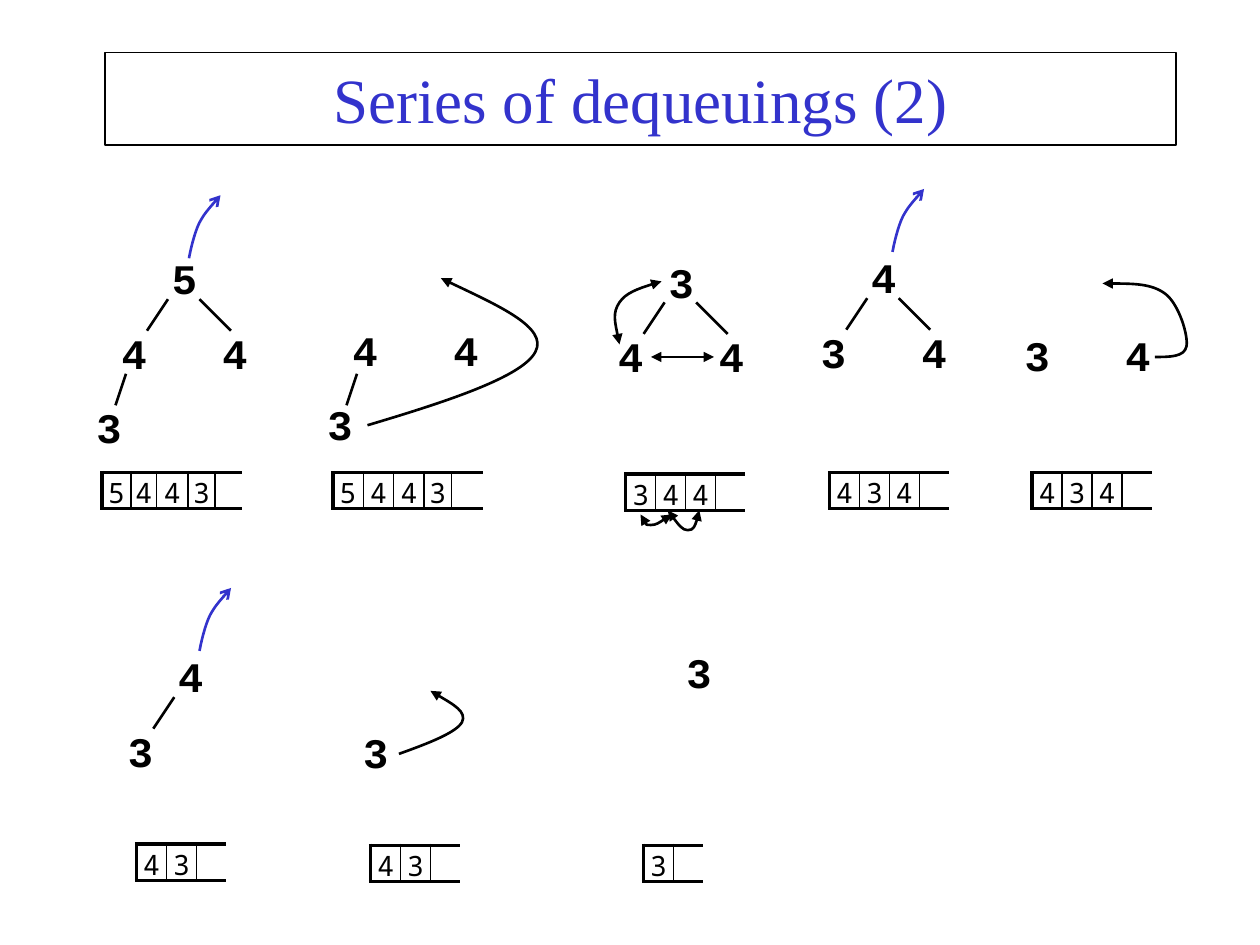
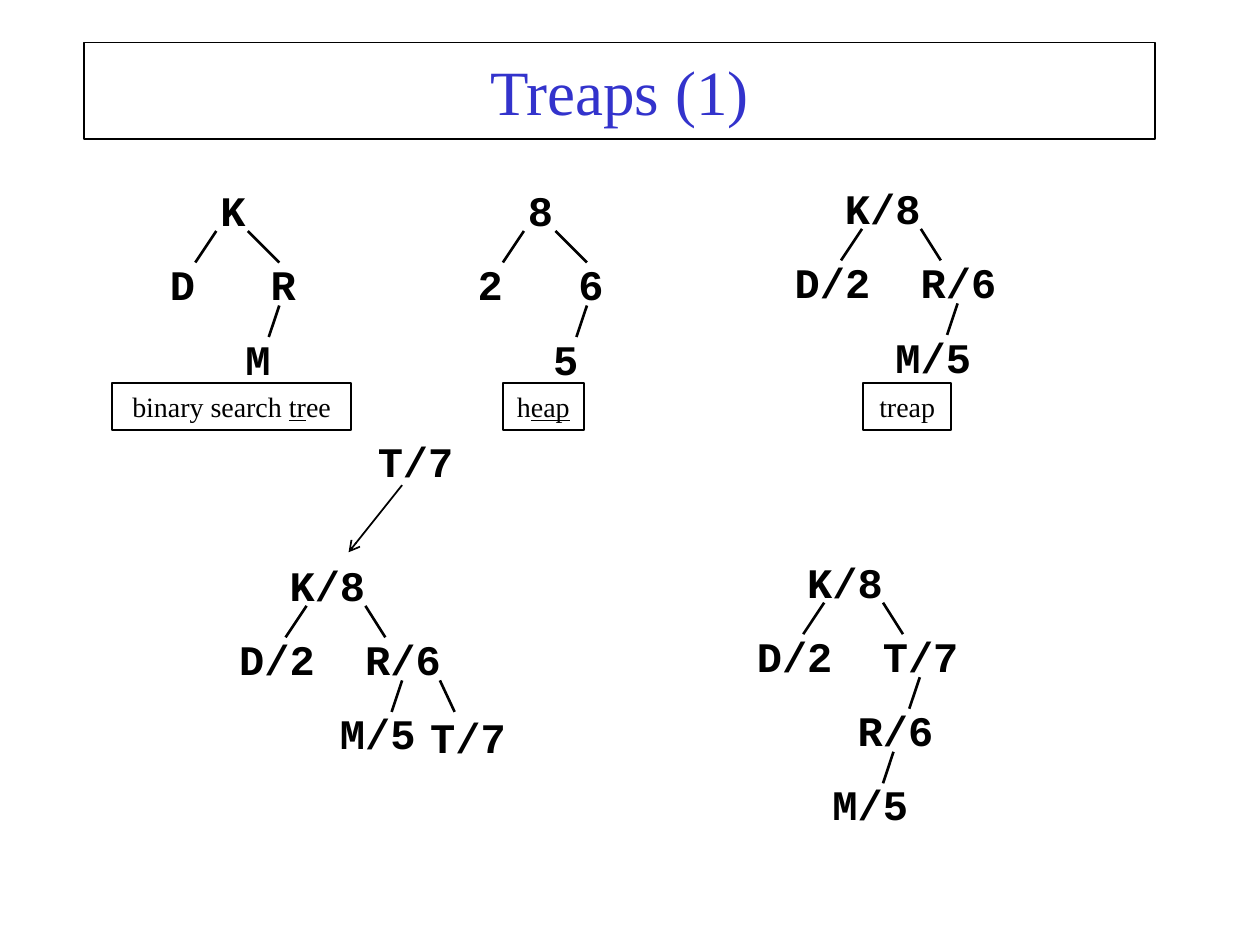
from dataclasses import dataclass

from lxml import etree
from pptx import Presentation, util as u
from pptx.dml.color import RGBColor
from pptx.enum import shapes, text
from pptx.oxml.ns import qn


@dataclass(frozen=True)
class Theme:
    ink: str = "000000"
    accent: str = "3333CC"
    title_font: str = "Times New Roman"
    node_font: str = "Courier New"
    cell_font: str = "Noto Sans Mono"
    title_size: int = 36
    node_size: int = 24
    small_size: int = 16
    row_gap: float = 13.6
    thin: float = 1
    edge: float = 1.5
    thick: float = 2.25


THEME = Theme()
COLUMNS = 120
SLIDE_W = u.Inches(10)
SLIDE_H = u.Inches(7.5)
CHAR = 2.4
ROW = 6.8
EDGE_TOP, EDGE_DROP, EDGE_PITCH = 5, 3, 7.1
CELL_W, CELL_H = 2.85, 3.45
NARROW, WIDE = 17, 34.3

ROOT_LEFT, ROOT_RIGHT = (8, 0, -2), (11, 0, 3)
PAIR_LEFT, PAIR_RIGHT = (10, 0, -2), (15.6, 0, 1.9)
LEFT_LEAF = (4, 1, -1)
INNER_LEAF = (14, 1, -1)
PAIR_LEAF = (19.1, 1, -1)


def grid(*values):
    return [u.Emu(round(v * SLIDE_W / COLUMNS)) for v in values]


def child(parent, tag, **attributes):
    return etree.SubElement(parent, qn(tag), {k: str(v) for k, v in attributes.items()})


def style_font(font, name, size, color=THEME.ink, bold=False):
    font.name, font.size, font.bold = name, u.Pt(size), bold
    font.color.rgb = RGBColor.from_string(color)


def style_line(shape, width, color=THEME.ink, head=None, tail=None):
    shape.line.color.rgb = RGBColor.from_string(color)
    shape.line.width = u.Pt(width)
    ln = shape.line._get_or_add_ln()
    for tag, kind in (("a:headEnd", head), ("a:tailEnd", tail)):
        if kind:
            child(ln, tag, type=kind)


def add_title(s, words, x, y, h):
    sp = s.shapes.title
    sp.left, sp.top, sp.width, sp.height = grid(x, y, 102, h)
    style_line(sp, THEME.thin)
    tf = sp.text_frame
    tf.vertical_anchor = text.MSO_ANCHOR.MIDDLE
    tf.auto_size = text.MSO_AUTO_SIZE.NONE
    p = tf.paragraphs[0]
    p.alignment = text.PP_ALIGN.CENTER
    r = p.add_run()
    r.text = words
    style_font(r.font, THEME.title_font, THEME.title_size, THEME.accent)


def add_line(s, start, end, width=THEME.edge, head=None, tail=None):
    line = s.shapes.add_connector(shapes.MSO_CONNECTOR.STRAIGHT, *grid(*start, *end))
    style_line(line, width, head=head, tail=tail)
    child(line._element.spPr, "a:effectLst")


def add_curve(s, points, color=THEME.ink, head=None, tail=None):
    first, *others = [grid(*point) for point in points]
    builder = s.shapes.build_freeform(*first)
    builder.add_line_segments(others, close=False)
    sp = builder.convert_to_shape()
    path = sp._element.find(".//" + qn("a:path"))
    segments = path.findall(qn("a:lnTo"))
    for i in range(0, len(segments), 3):
        bezier = child(path, "a:cubicBezTo")
        for segment in segments[i:i + 3]:
            bezier.append(segment[0])
            path.remove(segment)
    sp.shadow.inherit = False
    sp.fill.background()
    style_line(sp, THEME.edge, color, head, tail)


def add_dequeue_arrow(s, x, y):
    bend = [(3, 0), (2.3, 0.8), (1.5, 1.7), (1, 2.6), (0.5, 3.6), (0.1, 5.4), (0, 6)]
    add_curve(s, [(x + dx, y + dy) for dx, dy in bend], THEME.accent, head="arrow")


def add_tree(s, x, y, levels, edges=(), width=NARROW, first=0):
    height = 6 + ROW * (len(levels) - 1)
    tf = s.shapes.add_textbox(*grid(x, y + first * ROW, width, height)).text_frame
    tf.word_wrap = True
    tf.auto_size = text.MSO_AUTO_SIZE.SHAPE_TO_FIT_TEXT
    for i, nodes in enumerate(levels):
        p = tf.add_paragraph() if i else tf.paragraphs[0]
        if i:
            p.space_before = u.Pt(THEME.row_gap)
        stops = child(p._p.get_or_add_pPr(), "a:tabLst")
        for column, label in nodes.items():
            if column:
                child(stops, "a:tab", pos=grid(column * CHAR)[0], algn="l")
            r = p.add_run()
            r.text = "\t" + label if column else label
            style_font(r.font, THEME.node_font, THEME.node_size, bold=True)
    for dx, level, run in edges:
        top = y + EDGE_TOP + level * EDGE_PITCH
        add_line(s, (x + dx, top), (x + dx + run, top + EDGE_DROP))


def set_borders(cell, **widths):
    tc_pr = cell._tc.get_or_add_tcPr()
    for i, side in enumerate("LRTB"):
        width = widths[side]
        ln = etree.Element(qn("a:ln" + side), w=str(u.Pt(width)))
        if width:
            child(child(ln, "a:solidFill"), "a:srgbClr", val=THEME.ink)
        else:
            child(ln, "a:noFill")
        tc_pr.insert(i, ln)


def add_array(s, x, y, values, widths=None):
    widths = widths or [CELL_W] * (len(values) + 1)
    frame = s.shapes.add_table(1, len(widths), *grid(x, y, sum(widths), CELL_H))
    table = frame.table
    table.first_row = table.horz_banding = False
    table.rows[0].height = grid(CELL_H)[0]
    last = len(values)
    for i, width in enumerate(widths):
        table.columns[i].width = grid(width)[0]
        cell = table.cell(0, i)
        cell.margin_left = cell.margin_right = u.Inches(0.01)
        cell.margin_top = cell.margin_bottom = u.Inches(0.01)
        cell.fill.background()
        set_borders(cell, L=THEME.thin if i else THEME.thick,
                    R=THEME.thin if i < last else 0, T=THEME.thick, B=THEME.thick)
        p = cell.text_frame.paragraphs[0]
        p.alignment = text.PP_ALIGN.CENTER
        if i < last:
            r = p.add_run()
            r.text = values[i]
            style_font(r.font, THEME.cell_font, THEME.small_size)
        else:
            end = child(p._p, "a:endParaRPr", sz=THEME.small_size * 100)
            child(end, "a:latin", typeface=THEME.cell_font)


def add_label(s, x, width, parts):
    sp = s.shapes.add_shape(shapes.MSO_SHAPE.RECTANGLE, *grid(x, 36.5, width, 4.45))
    sp.shadow.inherit = False
    sp.fill.background()
    style_line(sp, THEME.thin)
    tf = sp.text_frame
    tf.word_wrap = False
    tf.vertical_anchor = text.MSO_ANCHOR.TOP
    p = tf.paragraphs[0]
    p.alignment = text.PP_ALIGN.CENTER
    for words, underlined in parts:
        r = p.add_run()
        r.text = words
        style_font(r.font, THEME.title_font, THEME.small_size)
        r.font.underline = underlined


def build_dequeuings(s):
    add_title(s, "Series of dequeuings (2)", 10, 5, 8.8)
    root_edges = [ROOT_LEFT, ROOT_RIGHT]
    pair = {1: "4", 5: "4"}
    mixed = {1: "3", 5: "4"}
    add_tree(s, 8, 23.5, [{3: "5"}, pair, {0: "3"}], root_edges + [LEFT_LEAF])
    add_tree(s, 30, 23.5, [pair, {0: "3"}], [LEFT_LEAF], first=1)
    add_tree(s, 55.3, 23.8, [{3: "3"}, pair], root_edges)
    add_tree(s, 74.6, 23.4, [{3: "4"}, mixed], root_edges)
    add_tree(s, 94, 24, [mixed], first=1)
    add_tree(s, 8.6, 61.4, [{3: "4"}, {1: "3"}], [ROOT_LEFT])
    add_tree(s, 31, 61.8, [{1: "3"}], first=1)
    add_tree(s, 57, 61, [{3: "3"}])

    add_array(s, 9.7, 45, "5443", [2.8, 2.4, 3, 2.6, 2.6])
    add_array(s, 31.7, 45, "5443", [2.9, 2.9, 2.9, 2.6, 3])
    for x, y, values in [(59.6, 45.15, "344"), (79, 45, "434"), (98.3, 45, "434"),
                         (13, 80.4, "43"), (35.3, 80.5, "43"), (61.3, 80.5, "3")]:
        add_array(s, x, y, values)

    for x, y in [(18, 18.6), (85, 18), (19, 56)]:
        add_dequeue_arrow(s, x, y)

    moves_to_root = [
        [(35, 40.5), (42.4, 38.3), (49.8, 35.9), (51, 33.5),
         (52.2, 31.2), (47, 28.9), (42, 26.5)],
        [(110, 34), (111.4, 34), (112.8, 34), (113, 33), (113.2, 32),
         (112.3, 29), (111, 28), (109.7, 27), (107.3, 27), (105, 27)],
        [(38, 71.8), (40.8, 70.8), (43.4, 69.8), (44, 68.8),
         (44.5, 67.8), (42.7, 66.8), (41, 65.8)],
    ]
    for points in moves_to_root:
        add_curve(s, points, tail="triangle")

    swaps = [
        [(63, 26.8), (61.3, 27.3), (59.6, 27.9), (59, 28.8),
         (58.3, 29.8), (58.7, 31.3), (59, 32.8)],
        [(61, 49), (61.2, 49.5), (61.4, 50), (62, 50),
         (62.5, 50), (63.2, 49.5), (64, 49)],
        [(63.6, 48.6), (64.3, 49.6), (65, 50.5), (65.5, 50.5),
         (66.1, 50.5), (66.4, 49.6), (66.6, 48.6)],
    ]
    for points in swaps:
        add_curve(s, points, head="triangle", tail="triangle")
    add_line(s, (62, 34), (68, 34), head="triangle", tail="triangle")


def build_treaps(s):
    add_title(s, "Treaps (1)", 8, 4.05, 9.2)
    small_edges = [ROOT_LEFT, ROOT_RIGHT, INNER_LEAF]
    add_tree(s, 12.6, 17, [{3: "K"}, {1: "D", 5: "R"}, {4: "M"}], small_edges)
    add_tree(s, 41.9, 17, [{3: "8"}, {1: "2", 5: "6"}, {4: "5"}], small_edges)

    treap = [{3: "K/8"}, {1: "D/2", 6: "R/6"}, {5: "M/5"}]
    rotated = [{3: "K/8"}, {1: "D/2", 6: "T/7"}, {5: "R/6"}, {4: "M/5"}]
    treap_edges = [PAIR_LEFT, PAIR_RIGHT, PAIR_LEAF]
    add_tree(s, 72.1, 16.8, treap, treap_edges, WIDE)
    add_tree(s, 19.2, 52.7, treap, treap_edges + [(22.7, 1, 1.4)], WIDE)
    add_tree(s, 68.5, 52.4, rotated, treap_edges + [(16.6, 2, -1)], WIDE)

    for x, y in [(34.8, 40.9), (39.8, 67.2)]:
        add_tree(s, x, y, [{0: "T/7"}], width=11)
    add_line(s, (38.3, 46.2), (33.2, 52.6), THEME.thin, tail="arrow")

    add_label(s, 10.7, 22.7, [("binary search ", False), ("tr", True), ("ee", False)])
    add_label(s, 47.9, 7.7, [("h", False), ("eap", True)])
    add_label(s, 82.2, 8.4, [("treap", False)])


def main():
    prs = Presentation()
    prs.slide_width, prs.slide_height = SLIDE_W, SLIDE_H
    title_only = prs.slide_layouts[5]
    for build in (build_dequeuings, build_treaps):
        build(prs.slides.add_slide(title_only))
    prs.save("out.pptx")


if __name__ == "__main__":
    main()
